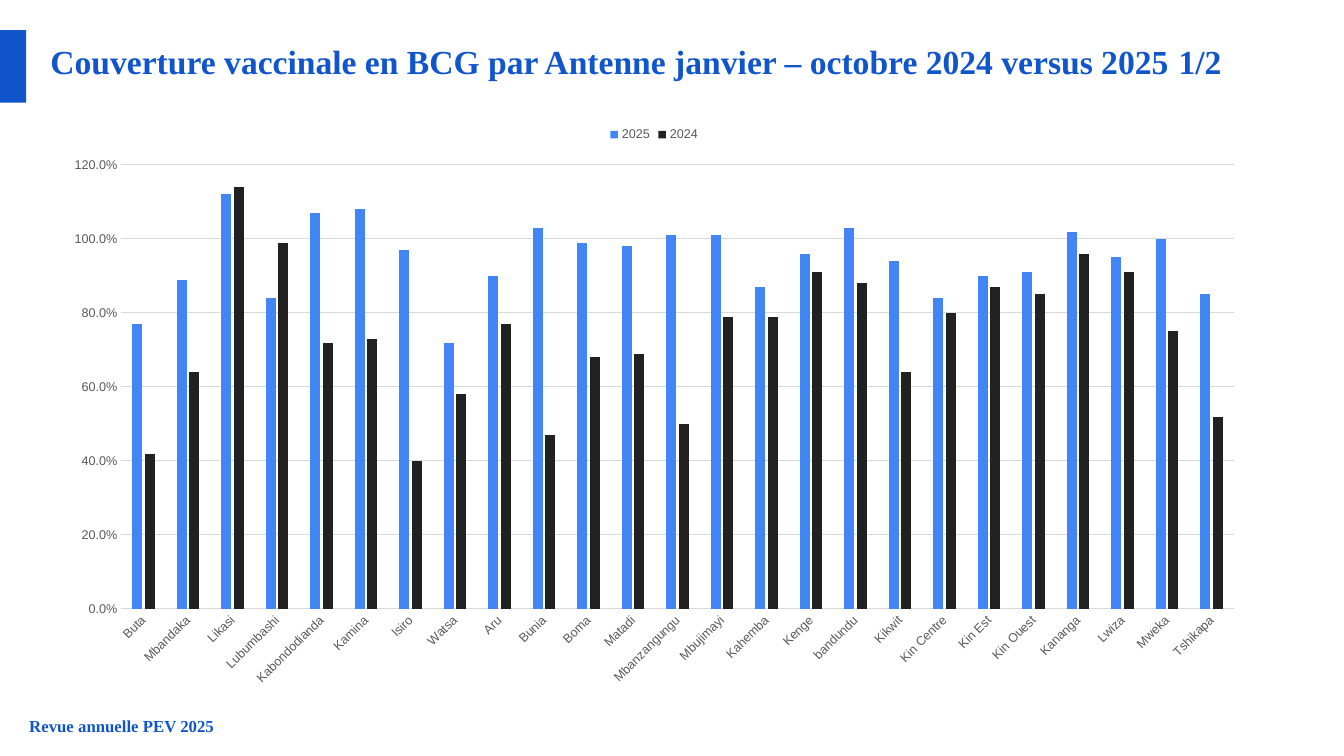
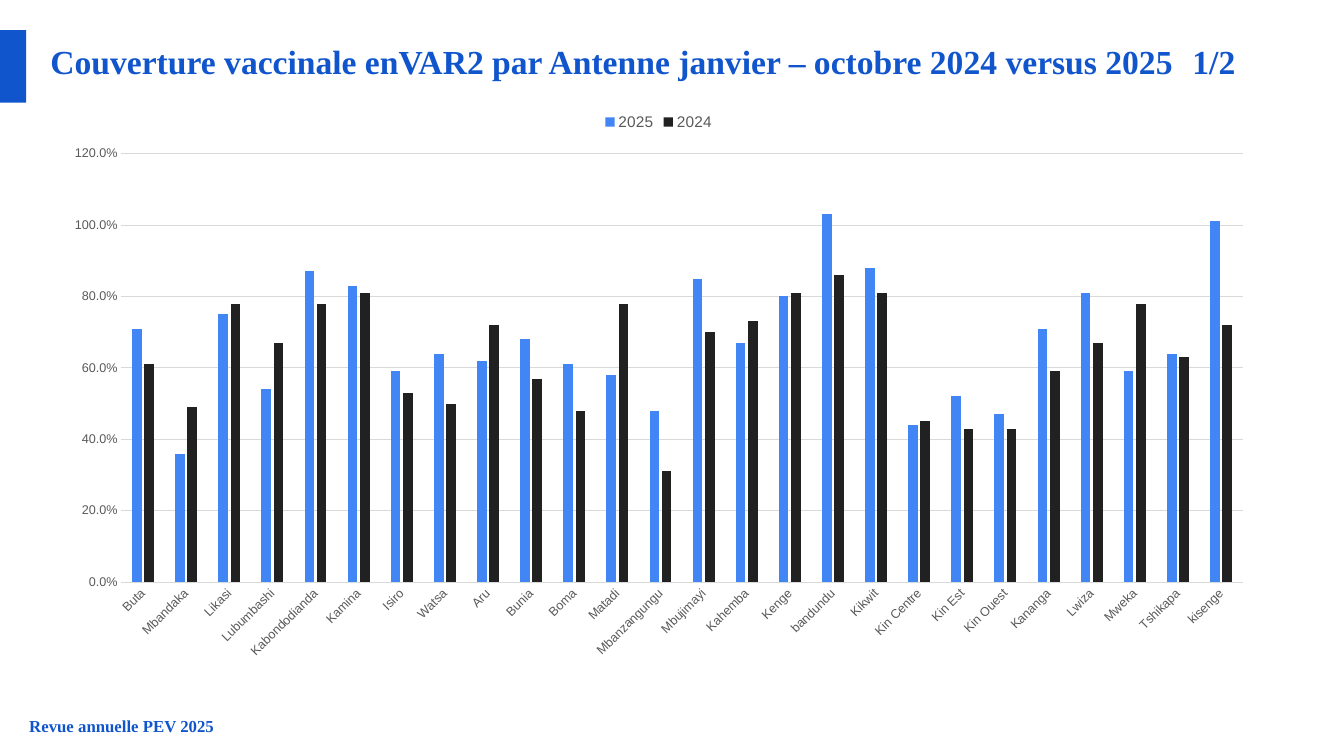
from dataclasses import dataclass

from pptx import Presentation
from pptx.chart.data import CategoryChartData
from pptx.dml.color import RGBColor
from pptx.enum.chart import XL_CHART_TYPE, XL_LEGEND_POSITION, XL_TICK_MARK
from pptx.enum.shapes import MSO_SHAPE
from pptx.enum.text import MSO_ANCHOR, MSO_AUTO_SIZE, PP_ALIGN
from pptx.util import Pt

COLUMNS = XL_CHART_TYPE.COLUMN_CLUSTERED
LEGEND_TOP = XL_LEGEND_POSITION.TOP
NO_TICK = XL_TICK_MARK.NONE
RECT = MSO_SHAPE.RECTANGLE
TOP = MSO_ANCHOR.TOP
NO_FIT = MSO_AUTO_SIZE.NONE
LEFT = PP_ALIGN.LEFT
TITLE_ONLY = 5


@dataclass(frozen=True)
class Theme:
    brand: RGBColor = RGBColor(0x11, 0x55, 0xCC)
    base: RGBColor = RGBColor(0, 0, 0)
    label: RGBColor = RGBColor(0x59, 0x59, 0x59)
    grid: RGBColor = RGBColor(0xD9, 0xD9, 0xD9)
    series: tuple = (RGBColor(0x42, 0x85, 0xF4), RGBColor(0x21, 0x21, 0x21))
    heading_font: str = "Times New Roman"
    chart_font: str = "Arial"
    title_size: int = 24
    gap_size: int = 28
    footer_size: int = 12
    chart_size: int = 10
    axis_size: int = 9
    rule: float = 0.75


THEME = Theme()
SLIDE_SIZE = (960, 540)
BAND_BOX = (0, 21.6, 18.7, 51.8)
TITLE_BOX = (36, 25.2, 888, 57.6)
FOOTER_BOX = (20.9, 511.2, 898.6, 14.4)
FOOTER = "Revue annuelle PEV 2025"
YEARS = ("2025", "2024")

ANTENNES = (
    "Buta", "Mbandaka", "Likasi", "Lubumbashi", "Kabondodianda", "Kamina",
    "Isiro", "Watsa", "Aru", "Bunia", "Boma", "Matadi", "Mbanzangungu",
    "Mbujimayi", "Kahemba", "Kenge", "bandundu", "Kikwit", "Kin Centre",
    "Kin Est", "Kin Ouest", "Kananga", "Lwiza", "Mweka", "Tshikapa",
)

SLIDES = (
    dict(
        title="Couverture vaccinale en BCG par Antenne janvier – octobre 2024 versus 2025",
        page="1/2",
        extra_gap=0,
        box=(36, 82.8, 862.6, 415.4),
        legend_size=9,
        cats=ANTENNES,
        values=(
            (0.77, 0.89, 1.12, 0.84, 1.07, 1.08, 0.97, 0.72, 0.9, 1.03, 0.99, 0.98, 1.01,
             1.01, 0.87, 0.96, 1.03, 0.94, 0.84, 0.9, 0.91, 1.02, 0.95, 1, 0.85),
            (0.42, 0.64, 1.14, 0.99, 0.72, 0.73, 0.4, 0.58, 0.77, 0.47, 0.68, 0.69, 0.5,
             0.79, 0.79, 0.91, 0.88, 0.64, 0.8, 0.87, 0.85, 0.96, 0.91, 0.75, 0.52),
        ),
    ),
    dict(
        title="Couverture vaccinale enVAR2 par Antenne janvier – octobre 2024 versus 2025",
        page="1/2",
        extra_gap=7,
        box=(36, 72.7, 869, 406.1),
        legend_size=11,
        cats=ANTENNES + ("kisenge",),
        values=(
            (0.71, 0.36, 0.75, 0.54, 0.87, 0.83, 0.59, 0.64, 0.62, 0.68, 0.61, 0.58, 0.48,
             0.85, 0.67, 0.8, 1.03, 0.88, 0.44, 0.52, 0.47, 0.71, 0.81, 0.59, 0.64, 1.01),
            (0.61, 0.49, 0.78, 0.67, 0.78, 0.81, 0.53, 0.5, 0.72, 0.57, 0.48, 0.78, 0.31,
             0.7, 0.73, 0.81, 0.86, 0.81, 0.45, 0.43, 0.43, 0.59, 0.67, 0.78, 0.63, 0.72),
        ),
    ),
)


def points(box):
    return [Pt(v) for v in box]


def style_font(font, name, size, color, bold=False):
    font.name = name
    font.size = Pt(size)
    font.bold = bold
    font.color.rgb = color


def style_frame(tf):
    tf.margin_left = tf.margin_top = tf.margin_right = tf.margin_bottom = 0
    tf.vertical_anchor = TOP
    tf.auto_size = NO_FIT
    tf.word_wrap = True
    tf.paragraphs[0].alignment = LEFT


def add_band(s, box):
    sp = s.shapes.add_shape(RECT, *points(box))
    sp.shadow.inherit = False
    sp.fill.solid()
    sp.fill.fore_color.rgb = THEME.brand
    sp.line.fill.background()


def set_title(s, box, title, page, extra_gap):
    sp = s.shapes.title
    sp.left, sp.top, sp.width, sp.height = points(box)
    tf = sp.text_frame
    style_frame(tf)
    p = tf.paragraphs[0]
    parts = ((title, THEME.title_size), (" ", THEME.gap_size), (page, THEME.title_size))
    for text, size in parts:
        r = p.add_run()
        r.text = text
        style_font(r.font, THEME.heading_font, size, THEME.brand, True)
    if extra_gap:
        p.runs[1]._r.get_or_add_rPr().set("spc", str(extra_gap * 100))


def add_footer(s, box):
    tf = s.shapes.add_textbox(*points(box)).text_frame
    style_frame(tf)
    p = tf.paragraphs[0]
    p.text = FOOTER
    style_font(p.runs[0].font, THEME.heading_font, THEME.footer_size, THEME.brand, True)


def style_axes(chart):
    cat, val = chart.category_axis, chart.value_axis
    for axis in (cat, val):
        axis.major_tick_mark = axis.minor_tick_mark = NO_TICK
        style_font(axis.tick_labels.font, THEME.chart_font, THEME.axis_size, THEME.label)
    cat._element.txPr.bodyPr.set("rot", "-2700000")
    val.minimum_scale, val.maximum_scale, val.major_unit = 0, 1.2, 0.2
    val.tick_labels.number_format = "0.0%"
    val.tick_labels.number_format_is_linked = False
    val.has_major_gridlines = True
    val.format.line.fill.background()
    for line in (cat.format.line, val.major_gridlines.format.line):
        line.color.rgb = THEME.grid
        line.width = Pt(THEME.rule)


def add_coverage_chart(s, box, cats, values, legend_size):
    data = CategoryChartData(number_format="0.0%")
    data.categories = cats
    for year, vals in zip(YEARS, values):
        data.add_series(year, vals)
    chart = s.shapes.add_chart(COLUMNS, *points(box), data).chart
    style_font(chart.font, THEME.chart_font, THEME.chart_size, THEME.base)
    chart.has_title = False
    chart.has_legend = True
    chart.legend.position = LEGEND_TOP
    chart.legend.include_in_layout = False
    style_font(chart.legend.font, THEME.chart_font, legend_size, THEME.label)
    style_axes(chart)
    plot = chart.plots[0]
    plot.gap_width = 219
    plot.overlap = -27
    plot.vary_by_categories = False
    for series, color in zip(plot.series, THEME.series):
        series.format.fill.solid()
        series.format.fill.fore_color.rgb = color
        series.invert_if_negative = False


def add_coverage_slide(prs, title, page, extra_gap, box, legend_size, cats, values):
    s = prs.slides.add_slide(prs.slide_layouts[TITLE_ONLY])
    set_title(s, TITLE_BOX, title, page, extra_gap)
    add_band(s, BAND_BOX)
    add_footer(s, FOOTER_BOX)
    add_coverage_chart(s, box, cats, values, legend_size)


def main():
    prs = Presentation()
    prs.slide_width, prs.slide_height = points(SLIDE_SIZE)
    for content in SLIDES:
        add_coverage_slide(prs, **content)
    prs.save("out.pptx")


if __name__ == "__main__":
    main()
